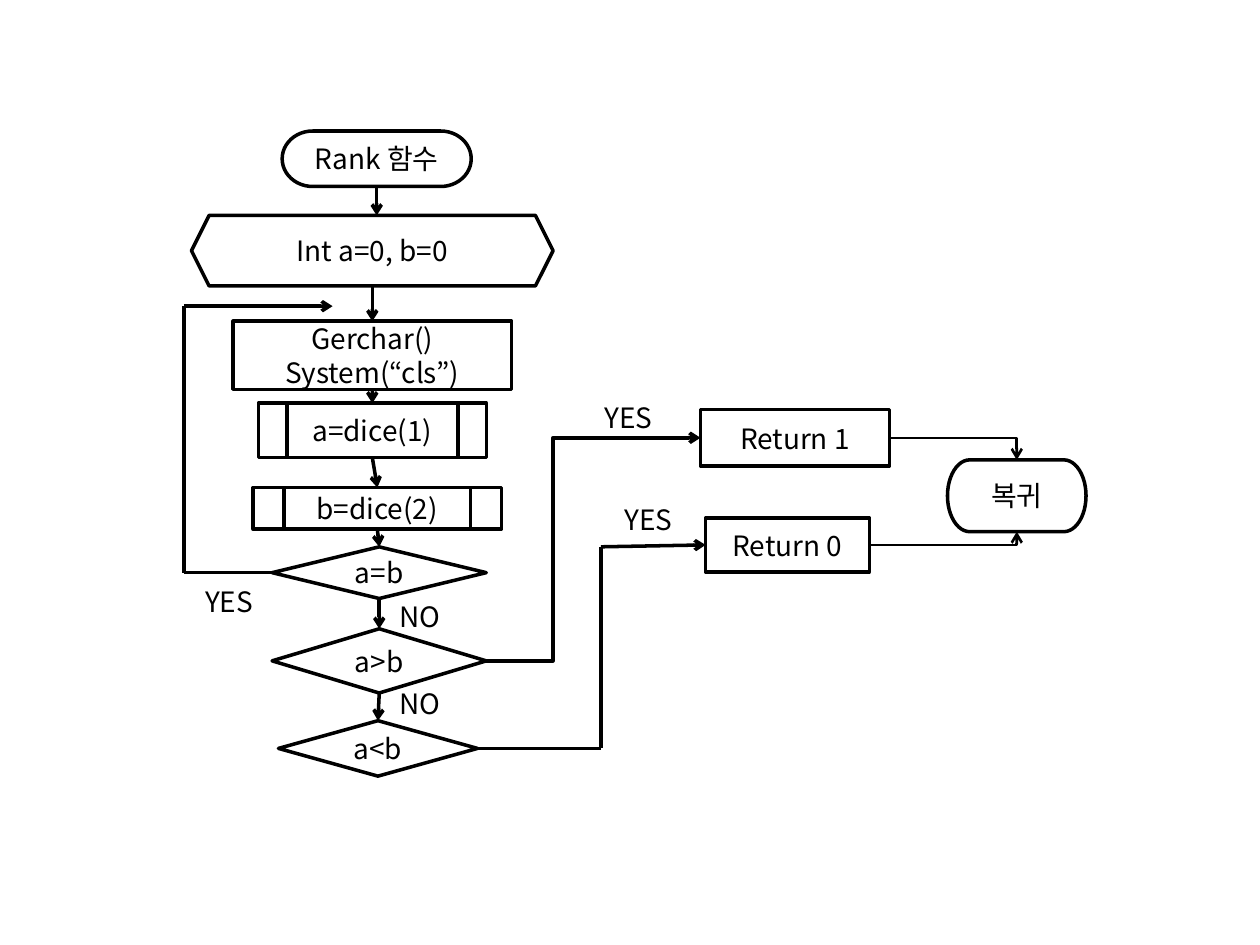
import itertools

import pptx
import pptx.util
import pptx.dml.color
import pptx.enum.shapes
import pptx.enum.text
import pptx.oxml
import pptx.oxml.ns

COLOURS = {"ink": "000000", "paper": "FFFFFF"}
FONT = "Noto Sans CJK KR"
CELL = pptx.util.Inches(0.1)  # the slide is a grid of 100 columns by 75 rows
KINDS = pptx.enum.shapes.MSO_SHAPE
LINKS = pptx.enum.shapes.MSO_CONNECTOR
TOP, BOTTOM = 0, 2  # connection sites of flowchart shapes


def colour(name):
    """Look up a colour of the palette."""
    return pptx.dml.color.RGBColor.from_string(COLOURS[name])


def cells(*counts):
    """Turn grid counts into lengths."""
    return [round(count * CELL) for count in counts]


def add_child(parent, tag, **attributes):
    """Append a DrawingML element with the given attributes."""
    child = pptx.oxml.parse_xml(f"<a:{tag} {pptx.oxml.ns.nsdecls('a')}/>")
    for key, value in attributes.items():
        child.set(key, value)
    parent.append(child)
    return child


def write(box, text, align=None):
    """Fill a shape with one paragraph for each line of text."""
    frame = box.text_frame
    frame.word_wrap = True
    for index, line in enumerate(text.split("\n")):
        para = frame.add_paragraph() if index else frame.paragraphs[0]
        para.alignment = align
        span = para.add_run()
        span.text = line
        span.font.size = pptx.util.Pt(16)
        span.font.name = FONT
        span.font.color.rgb = colour("ink")
        add_child(span.font._element, "ea", typeface=FONT)


def add_step(page, origin, kind, place, text):
    """Draw one outlined flowchart step, placed from the region's origin."""
    column, row, width, height = place
    box = page.shapes.add_shape(
        kind, *cells(origin[0] + column, origin[1] + row, width, height))
    box.shadow.inherit = False
    box.fill.solid()
    box.fill.fore_color.rgb = colour("paper")
    box.line.color.rgb = colour("ink")
    box.line.width = pptx.util.Pt(2)
    box.text_frame.vertical_anchor = pptx.enum.text.MSO_ANCHOR.MIDDLE
    write(box, text, pptx.enum.text.PP_ALIGN.CENTER)
    return box


def add_label(page, origin, place, text):
    """Write a branch label, placed from the region's origin."""
    column, row, width, height = place
    box = page.shapes.add_textbox(
        *cells(origin[0] + column, origin[1] + row, width, height))
    box.text_frame.auto_size = pptx.enum.text.MSO_AUTO_SIZE.SHAPE_TO_FIT_TEXT
    write(box, text)


def add_link(page, start, end, arrow=True, kind=LINKS.STRAIGHT, weight=2):
    """Draw a line or arrow between two points."""
    link = page.shapes.add_connector(kind, *start, *end)
    link.line.color.rgb = colour("ink")
    link.line.width = pptx.util.Pt(weight)
    if arrow:
        add_child(link.line._get_or_add_ln(), "tailEnd", type="arrow")
    add_child(link._element.spPr, "effectLst")
    return link


def add_path(page, points):
    """Draw straight segments through the points, the last with an arrow."""
    for start, end in itertools.pairwise(points):
        add_link(page, start, end, arrow=end == points[-1])


def side(box, across, down):
    """Find the point at the given shares of a box's width and height."""
    return (box.left + round(box.width * across),
            box.top + round(box.height * down))


def draw_procedure(page, origin):
    """Draw the column of steps, its arrows and the loop back."""
    rows = [
        (KINDS.FLOWCHART_TERMINATOR, (7.8, 0, 15, 4.4), "Rank 함수"),
        (KINDS.HEXAGON, (0.6, 6.7, 28.7, 5.6), "Int a=0, b=0"),
        (KINDS.FLOWCHART_PROCESS, (3.9, 15.1, 22.1, 5.4),
         "Gerchar()\nSystem(“cls”)"),
        (KINDS.FLOWCHART_PREDEFINED_PROCESS, (5.9, 21.6, 18.1, 4.3),
         "a=dice(1)"),
        (KINDS.FLOWCHART_PREDEFINED_PROCESS, (5.5, 28.3, 19.7, 3.3),
         "b=dice(2)"),
        (KINDS.FLOWCHART_DECISION, (7, 33, 17, 4.1), "a=b"),
        (KINDS.FLOWCHART_DECISION, (7, 39.5, 17, 5.1), "a>b"),
        (KINDS.FLOWCHART_DECISION, (7.5, 46.8, 15.8, 4.4), "a<b"),
    ]
    steps = [add_step(page, origin, *row) for row in rows]
    start, setup, clear = steps[:3]
    equal, greater, less = steps[-3:]

    start_foot = side(start, 0.5, 1)
    add_link(page, start_foot, (start_foot[0], setup.top))
    add_link(page, side(setup, 0.5, 1), side(clear, 0.5, 0))
    for upper, lower in itertools.pairwise(steps[2:]):
        link = add_link(page, side(upper, 0.5, 1), side(lower, 0.5, 0))
        link.begin_connect(upper, BOTTOM)
        link.end_connect(lower, TOP)

    branch = side(equal, 0, 0.5)
    loop_left, loop_top, loop_end = cells(
        origin[0], origin[1] + 13.9, origin[0] + 11.8)
    add_path(page, [branch, (loop_left, branch[1]),
                    (loop_left, loop_top), (loop_end, loop_top)])

    add_label(page, origin, (0.7, 35.5, 6.3, 3.7), "YES")
    for row in (36.7, 43.6):
        add_label(page, origin, (16.1, row, 6.3, 3.7), "NO")
    return greater, less


def draw_results(page, origin):
    """Draw the two return values and the end, joined by bent arrows."""
    one = add_step(page, origin, KINDS.FLOWCHART_PROCESS,
                   (8.6, 1.2, 15, 4.5), "Return 1")
    zero = add_step(page, origin, KINDS.FLOWCHART_PROCESS,
                    (9, 9.8, 13, 4.3), "Return 0")
    finish = add_step(page, origin, KINDS.FLOWCHART_TERMINATOR,
                      (28.2, 5.2, 11, 5.7), "복귀")
    for box, edge in ((one, 0), (zero, 1)):
        link = add_link(page, side(box, 1, 0.5), side(finish, 0.5, edge),
                        kind=LINKS.ELBOW, weight=1.5)
        link._element.spPr.prstGeom.set("prst", "bentConnector2")
    add_label(page, origin, (0, 0, 6.3, 3.7), "YES")
    add_label(page, origin, (1.6, 8.1, 7.6, 3.7), "YES")
    return one, zero


def draw_branches(page, decisions, results):
    """Lead the last two decisions to their return values."""
    greater, less = decisions
    one, zero = results
    link = add_link(page, side(greater, 1, 0.5), side(one, 0, 0.5),
                    kind=LINKS.ELBOW)
    guides = link._element.spPr.prstGeom.get_or_add_avLst()
    add_child(guides, "gd", name="adj1", fmla="val 31100")

    begin, end = side(less, 1, 0.5), side(zero, 0, 0.5)
    turn, level = cells(47.7, 43.4)
    add_path(page, [begin, (turn, begin[1]), (turn, level), end])


def main():
    """Build the one-slide deck."""
    deck = pptx.Presentation()
    deck.slide_width, deck.slide_height = cells(100, 75)
    page = deck.slides.add_slide(deck.slide_layouts[6])
    decisions = draw_procedure(page, (14.6, 10.4))
    results = draw_results(page, (47, 31.3))
    draw_branches(page, decisions, results)
    deck.save("out.pptx")


main()
